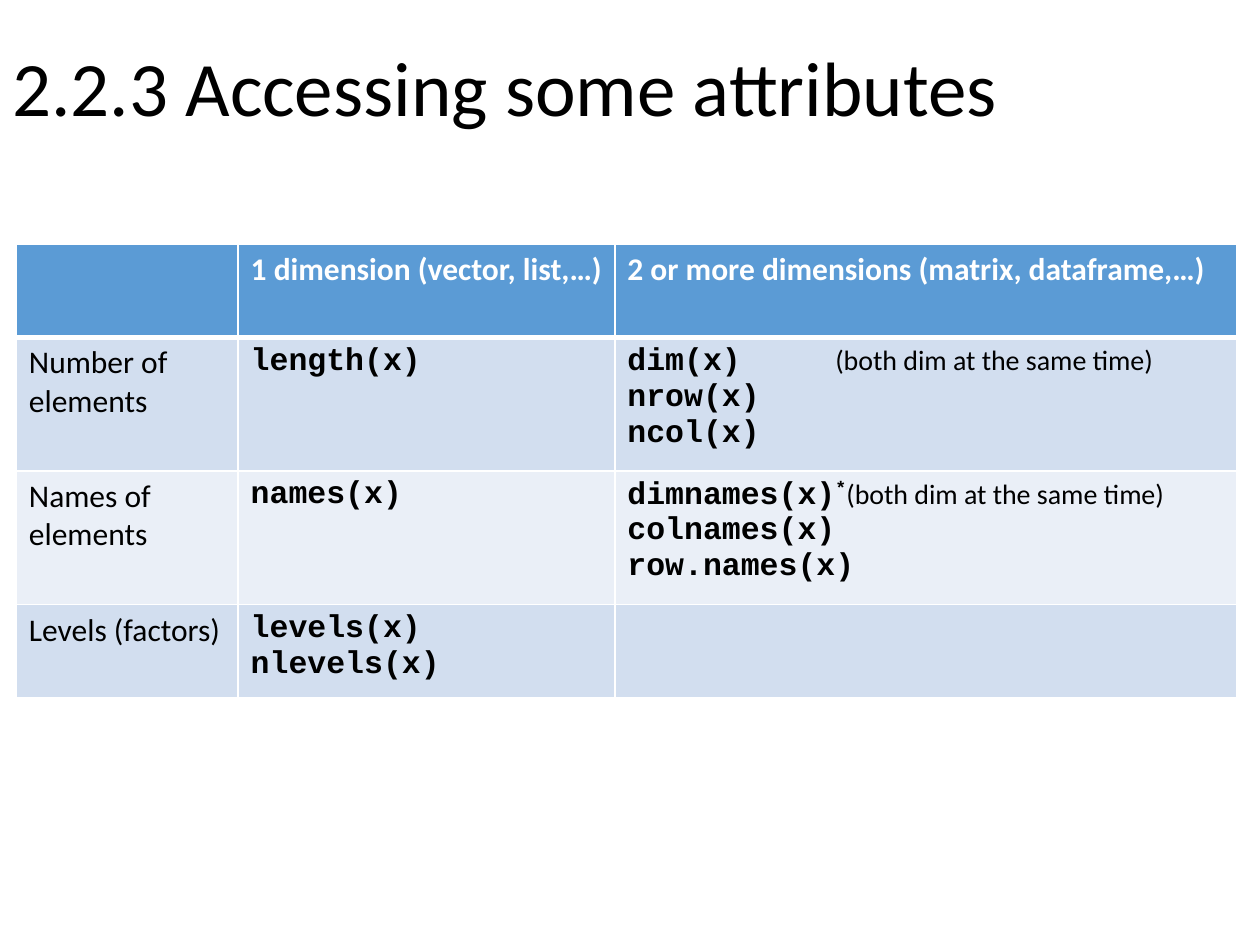
from dataclasses import dataclass

from lxml import etree
from pptx import Presentation
from pptx.dml.color import RGBColor
from pptx.enum.text import MSO_ANCHOR
from pptx.oxml.ns import qn
from pptx.util import Inches, Pt

MIDDLE = MSO_ANCHOR.MIDDLE


@dataclass(frozen=True)
class Theme:
    """Colours, fonts and type sizes of the slide."""
    header: str = "5B9BD5"
    bands: tuple = ("D2DEEF", "EAEFF7")
    ink: str = "000000"
    paper: str = "FFFFFF"
    body_font: str = "Calibri"
    code_font: str = "Courier New"
    title_size: int = 44
    body_size: int = 18
    note_size: int = 16
    thin: int = 1
    thick: int = 3


THEME = Theme()
STYLES = {
    "title": (THEME.body_font, THEME.title_size, False, THEME.ink),
    "header": (THEME.body_font, THEME.body_size, True, THEME.paper),
    "label": (THEME.body_font, THEME.body_size, False, THEME.ink),
    "code": (THEME.code_font, THEME.body_size, True, THEME.ink),
    "note": (THEME.body_font, THEME.note_size, False, THEME.ink),
    "super": (THEME.code_font, THEME.body_size, True, THEME.ink),
}
SUPERSCRIPT = "30000"
NOTE_TAB = 1.65
COLUMN_WIDTHS = (1.76, 2.99, 4.94)
ROW_HEIGHTS = (0.74, 1.06, 1.06, 0.74)
BOTH_DIMS = "(both dim at the same time)"


def line(style, text):
    """Return a paragraph made of a single run."""
    return [(style, text)]


ATTRIBUTE_ROWS = [
    [[],
     [line("header", "1 dimension (vector, list,…)")],
     [line("header", "2 or more dimensions (matrix, dataframe,…)")]],
    [[line("label", "Number of elements")],
     [line("code", "length(x)")],
     [[("code", "dim(x)"), ("note", "\t" + BOTH_DIMS)],
      line("code", "nrow(x)"),
      line("code", "ncol(x)")]],
    [[line("label", "Names of elements")],
     [line("code", "names(x)")],
     [[("code", "dimnames(x)"), ("super", "*"), ("note", BOTH_DIMS)],
      line("code", "colnames(x)"),
      line("code", "row.names(x)")]],
    [[line("label", "Levels (factors)")],
     [line("code", "levels(x)"), line("code", "nlevels(x)")],
     []],
]


def add_run(paragraph, style, text):
    """Add one run in a named style."""
    run = paragraph.add_run()
    run.text = text
    font = run.font
    font.name, size, font.bold, color = STYLES[style]
    font.size = Pt(size)
    font.color.rgb = RGBColor.from_string(color)
    if style == "super":
        run._r.get_or_add_rPr().set("baseline", SUPERSCRIPT)


def add_tab_stop(paragraph, position):
    """Give a paragraph one left tab stop."""
    tabs = etree.SubElement(paragraph._p.get_or_add_pPr(), qn("a:tabLst"))
    etree.SubElement(tabs, qn("a:tab"), pos=str(Inches(position)), algn="l")


def write_paragraphs(frame, paragraphs):
    """Fill a text frame paragraph by paragraph."""
    for index, runs in enumerate(paragraphs):
        paragraph = frame.add_paragraph() if index else frame.paragraphs[0]
        if any("\t" in text for _, text in runs):
            add_tab_stop(paragraph, NOTE_TAB)
        for style, text in runs:
            add_run(paragraph, style, text)


def set_borders(cell, top, bottom):
    """Draw the four edges of a cell in the paper colour."""
    widths = {"a:lnL": THEME.thin, "a:lnR": THEME.thin, "a:lnT": top, "a:lnB": bottom}
    properties = cell._tc.get_or_add_tcPr()
    for tag, width in widths.items():
        edge = etree.SubElement(properties, qn(tag), w=str(Pt(width)))
        fill = etree.SubElement(edge, qn("a:solidFill"))
        etree.SubElement(fill, qn("a:srgbClr"), val=THEME.paper)


def add_title(slide, left, top, width, height):
    """Place the slide title in its box."""
    title = slide.shapes.add_textbox(Inches(left), Inches(top), Inches(width), Inches(height))
    frame = title.text_frame
    frame.word_wrap = True
    frame.vertical_anchor = MIDDLE
    frame.paragraphs[0].line_spacing = 0.9
    write_paragraphs(frame, [line("title", "2.2.3 Accessing some attributes")])


def add_attribute_table(slide, left, top):
    """Place the table of accessor functions from its top left corner."""
    table = slide.shapes.add_table(
        len(ROW_HEIGHTS), len(COLUMN_WIDTHS), Inches(left), Inches(top),
        Inches(sum(COLUMN_WIDTHS)), Inches(sum(ROW_HEIGHTS))).table
    for column, width in zip(table.columns, COLUMN_WIDTHS):
        column.width = Inches(width)
    for row_index, (row, height) in enumerate(zip(table.rows, ROW_HEIGHTS)):
        row.height = Inches(height)
        color = THEME.bands[(row_index - 1) % 2] if row_index else THEME.header
        top_edge = THEME.thick if row_index == 1 else THEME.thin
        bottom_edge = THEME.thin if row_index else THEME.thick
        for cell, paragraphs in zip(row.cells, ATTRIBUTE_ROWS[row_index]):
            set_borders(cell, top_edge, bottom_edge)
            cell.fill.solid()
            cell.fill.fore_color.rgb = RGBColor.from_string(color)
            write_paragraphs(cell.text_frame, paragraphs)


def main():
    """Build and save the slide."""
    presentation = Presentation()
    presentation.slide_width = Inches(10)
    presentation.slide_height = Inches(7.5)
    slide = presentation.slides.add_slide(presentation.slide_layouts[6])
    add_attribute_table(slide, 0.13, 1.94)
    add_title(slide, 0, 0, 10, 1.45)
    presentation.save("out.pptx")


if __name__ == "__main__":
    main()
